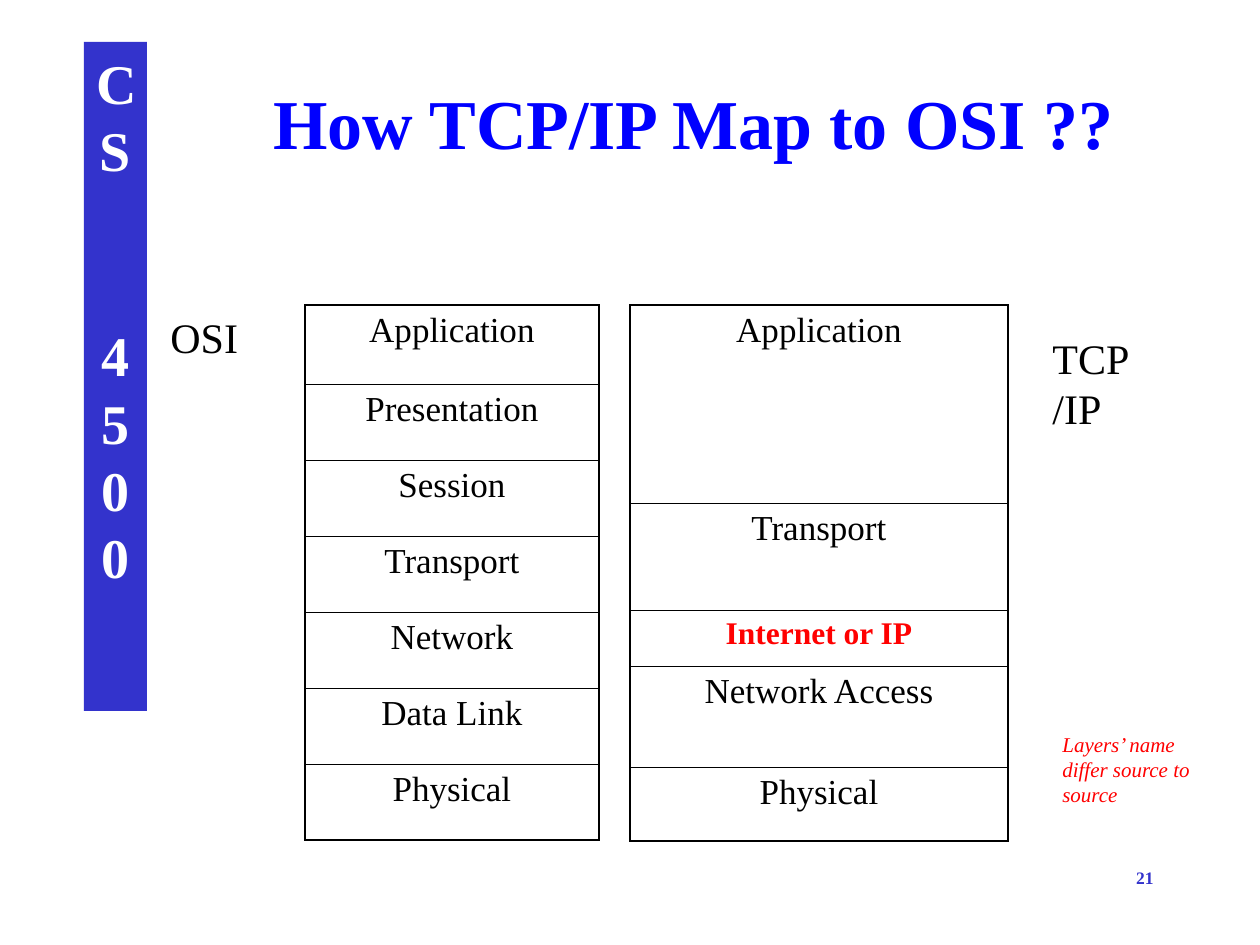
"""Build a slide that compares the OSI layers with the TCP/IP layers."""
from lxml import etree
from pptx import Presentation
from pptx import util as u
from pptx.dml.color import RGBColor
from pptx.enum import shapes, text
from pptx.oxml.ns import qn

SCALE = 914400 / 126
FONT = "Times New Roman"
COLOURS = {"band": "3333CC", "title": "0000FF", "note": "FF0000",
           "ink": "000000", "paper": "FFFFFF"}
LEFT, CENTER, RIGHT = (text.PP_ALIGN.LEFT, text.PP_ALIGN.CENTER, text.PP_ALIGN.RIGHT)

TITLE = "How TCP/IP Map to OSI ??"
TITLE_BOX = (242, 73, 903, 97)
COURSE = ["CS", "4500"]
BAND_BOX = (84, 42, 63, 669)
COURSE_GAP = 79

STACKS = [
    {"left": 305, "width": 294, "layers": [
        ("Application", 79), ("Presentation", 76), ("Session", 76),
        ("Transport", 76), ("Network", 76), ("Data Link", 76), ("Physical", 76)]},
    {"left": 630, "width": 378, "layers": [
        ("Application", 198), ("Transport", 107), ("Internet or IP", 56),
        ("Network Access", 101), ("Physical", 74)]},
]
STACK_TOP = 305
HIGHLIGHT = "Internet or IP"
OUTER, INNER = 1.08, 0.45

LABELS = [
    ("OSI", (158, 305, 105, 63), LEFT, {"size": 24}),
    ("TCP/IP", (1040, 326, 105, 113), LEFT, {"size": 24}),
    ("Layers’ name differ source to source", (1050, 725, 179, 88), LEFT,
     {"size": 12, "colour": "note", "italic": True}),
    ("21", (903, 861, 263, 63), RIGHT, {"size": 10, "colour": "band", "bold": True}),
]


def px(length):
    return u.Emu(round(length * SCALE))


def style(para, align, size, colour="ink", bold=False, italic=False, before=0):
    para.alignment = align
    para.space_before = u.Pt(before)
    for span in para.runs:
        font = span.font
        font.name, font.size = FONT, u.Pt(size)
        font.bold, font.italic = bold, italic
        font.color.rgb = RGBColor.from_string(COLOURS[colour])


def prepare(frame):
    frame.word_wrap = True
    frame.auto_size = text.MSO_AUTO_SIZE.NONE
    frame.vertical_anchor = text.MSO_ANCHOR.TOP


def set_borders(cell, widths):
    properties = cell._tc.get_or_add_tcPr()
    for position, (side, width) in enumerate(widths.items()):
        line = etree.Element(qn(f"a:ln{side}"), w=str(u.Pt(width)))
        fill = etree.SubElement(line, qn("a:solidFill"))
        etree.SubElement(fill, qn("a:srgbClr"), val=COLOURS["ink"])
        properties.insert(position, line)


def add_title(page):
    box = page.shapes.title
    box.left, box.top, box.width, box.height = map(px, TITLE_BOX)
    box.text_frame.text = TITLE
    prepare(box.text_frame)
    style(box.text_frame.paragraphs[0], CENTER, 40, "title", bold=True)


def add_band(page):
    band = page.shapes.add_shape(shapes.MSO_SHAPE.RECTANGLE, *map(px, BAND_BOX))
    band.shadow.inherit = False
    band.fill.solid()
    band.fill.fore_color.rgb = RGBColor.from_string(COLOURS["band"])
    band.line.fill.background()
    band.text_frame.text = "\n".join(COURSE)
    prepare(band.text_frame)
    for para, before in zip(band.text_frame.paragraphs, (0, COURSE_GAP)):
        style(para, CENTER, 32, "paper", bold=True, before=before)


def add_stack(page, left, width, layers):
    height = sum(size for _, size in layers)
    table = page.shapes.add_table(len(layers), 1, px(left), px(STACK_TOP),
                                  px(width), px(height)).table
    table.first_row = table.horz_banding = False
    last = len(layers) - 1
    for index, (name, size) in enumerate(layers):
        table.rows[index].height = px(size)
        cell = table.cell(index, 0)
        cell.text_frame.text = name
        cell.fill.background()
        look = {"size": 20, "before": 5}
        if name == HIGHLIGHT:
            look = {"size": 18, "before": 4.5, "colour": "note", "bold": True}
        style(cell.text_frame.paragraphs[0], CENTER, **look)
        set_borders(cell, {"L": OUTER, "R": OUTER,
                           "T": OUTER if index == 0 else INNER,
                           "B": OUTER if index == last else INNER})


def add_label(page, words, place, align, look):
    box = page.shapes.add_textbox(*map(px, place))
    box.text_frame.text = words
    prepare(box.text_frame)
    style(box.text_frame.paragraphs[0], align, **look)


def main():
    deck = Presentation()
    deck.slide_width, deck.slide_height = u.Inches(10), u.Inches(7.5)
    page = deck.slides.add_slide(deck.slide_layouts[5])
    add_band(page)
    for stack in STACKS:
        add_stack(page, **stack)
    add_title(page)
    for label in LABELS:
        add_label(page, *label)
    deck.save("out.pptx")


if __name__ == "__main__":
    main()
